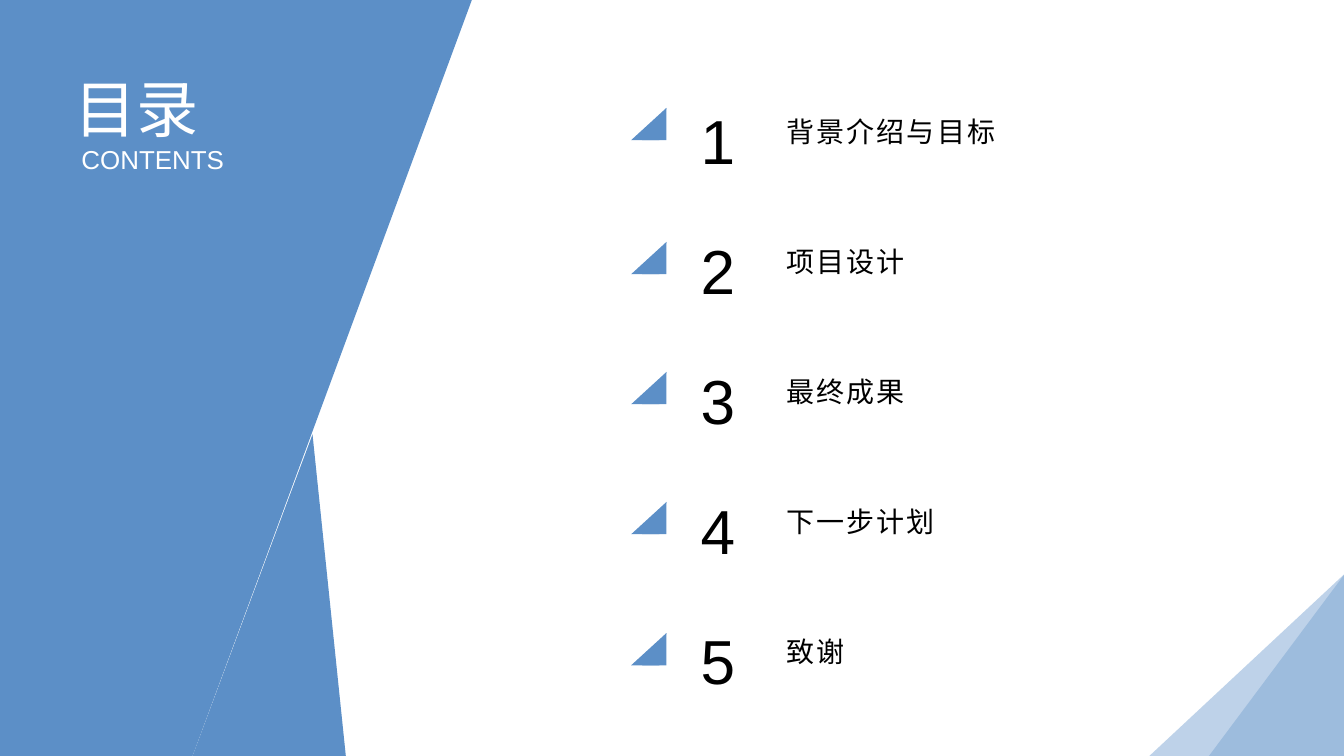
import pptx
import pptx.util
import pptx.dml.color
import pptx.enum.shapes
import pptx.enum.text

WIDTH, HEIGHT = 13.33, 7.5
BLUE, PALE, SOFT, BLACK, WHITE = "5C8FC7", "BED2E9", "9DBCDD", "000000", "FFFFFF"

HEADINGS = [
    ("目录", (0.64, 0.5, 1.53, 0.91), {"size": 44.4, "color": WHITE, "line_spacing": 1.2}),
    ("CONTENTS", (0.71, 1.34, 1.75, 0.44), {"size": 18.5, "color": WHITE, "line_spacing": 1.1}),
]
CHAPTERS = [
    ("背景介绍与目标", 1.07),
    ("项目设计", 2.4),
    ("最终成果", 3.69),
    ("下一步计划", 4.98),
    ("致谢", 6.28),
]
SIDE_PANELS = [
    [(0, 0), (4.68, 0), (1.88, HEIGHT), (0, HEIGHT)],
    [(4.68, 0), (1.91, HEIGHT), (1.87, HEIGHT), (3.59, 0)],
    [(3.1, 4.31), (3.43, HEIGHT), (1.91, HEIGHT)],
]
SIDE_PANELS[0][1] = (3.62, 0)
CORNER_FACET = [(WIDTH, 5.7), (12.96, HEIGHT), (11.4, HEIGHT)]
CORNER_TRIANGLE = (11.99, 5.69, 1.35, 1.81)

ROW_STEP = 1.29
NUMBER_LEFT, NUMBER_TOP, NUMBER_WIDTH = 6.85, 0.82, 0.58
TITLE_LEFT, TITLE_TOP, TITLE_WIDTH = 7.7, 0.85, 3.15
ROW_HEIGHT = 0.91
MARKER_LEFT, MARKER_WIDTH, MARKER_HEIGHT = 6.37, 0.24, 0.32
MARKER_FACET = [(6.61, 0), (6.54, 0.32), (6.26, 0.32)]

NUMBER_FORMAT = {"size": 44.4, "color": BLACK, "line_spacing": 1.2}
TITLE_FORMAT = {"size": 20, "color": BLACK, "tracking": 1.5, "anchor": "MIDDLE"}

inch = pptx.util.Inches


def rgb(value):
    return pptx.dml.color.RGBColor.from_string(value)


def paint(shape, color):
    shape.shadow.inherit = False
    shape.fill.solid()
    shape.fill.fore_color.rgb = rgb(color)
    shape.line.fill.background()


def add_polygon(slide, points, color):
    corners = [(inch(x), inch(y)) for x, y in points]
    builder = slide.shapes.build_freeform(*corners[0], scale=1.0)
    builder.add_line_segments(corners[1:], close=True)
    paint(builder.convert_to_shape(), color)


def add_right_triangle(slide, box, color):
    kind = pptx.enum.shapes.MSO_SHAPE.ISOSCELES_TRIANGLE
    triangle = slide.shapes.add_shape(kind, *map(inch, box))
    triangle.adjustments[0] = 1
    paint(triangle, color)


def add_text(slide, text, box, style):
    frame = slide.shapes.add_textbox(*map(inch, box)).text_frame
    frame.word_wrap = True
    frame.vertical_anchor = pptx.enum.text.MSO_ANCHOR[style.get("anchor", "TOP")]
    paragraph = frame.paragraphs[0]
    paragraph.line_spacing = style.get("line_spacing", 1.0)
    run = paragraph.add_run()
    run.text = text
    for attribute, value in {"name": "Arial", "size": pptx.util.Pt(style["size"])}.items():
        setattr(run.font, attribute, value)
    run.font.color.rgb = rgb(style["color"])
    if "tracking" in style:
        run.font._element.set("spc", str(int(style["tracking"] * 100)))


def main():
    deck = pptx.Presentation()
    deck.slide_width, deck.slide_height = inch(WIDTH), inch(HEIGHT)
    slide = deck.slides.add_slide(deck.slide_layouts[6])

    add_polygon(slide, CORNER_FACET, PALE)
    add_right_triangle(slide, CORNER_TRIANGLE, SOFT)
    for panel in SIDE_PANELS:
        add_polygon(slide, panel, BLUE)

    for row, (title, marker_top) in enumerate(CHAPTERS):
        shift = row * ROW_STEP
        number_box = (NUMBER_LEFT, NUMBER_TOP + shift, NUMBER_WIDTH, ROW_HEIGHT)
        title_box = (TITLE_LEFT, TITLE_TOP + shift, TITLE_WIDTH, ROW_HEIGHT)
        add_text(slide, str(row + 1), number_box, NUMBER_FORMAT)
        add_polygon(slide, [(x, marker_top + y) for x, y in MARKER_FACET], BLUE)
        add_right_triangle(slide, (MARKER_LEFT, marker_top, MARKER_WIDTH, MARKER_HEIGHT), BLUE)
        add_text(slide, title, title_box, TITLE_FORMAT)

    for heading in HEADINGS:
        add_text(slide, *heading)

    deck.save("out.pptx")


if __name__ == "__main__":
    main()
